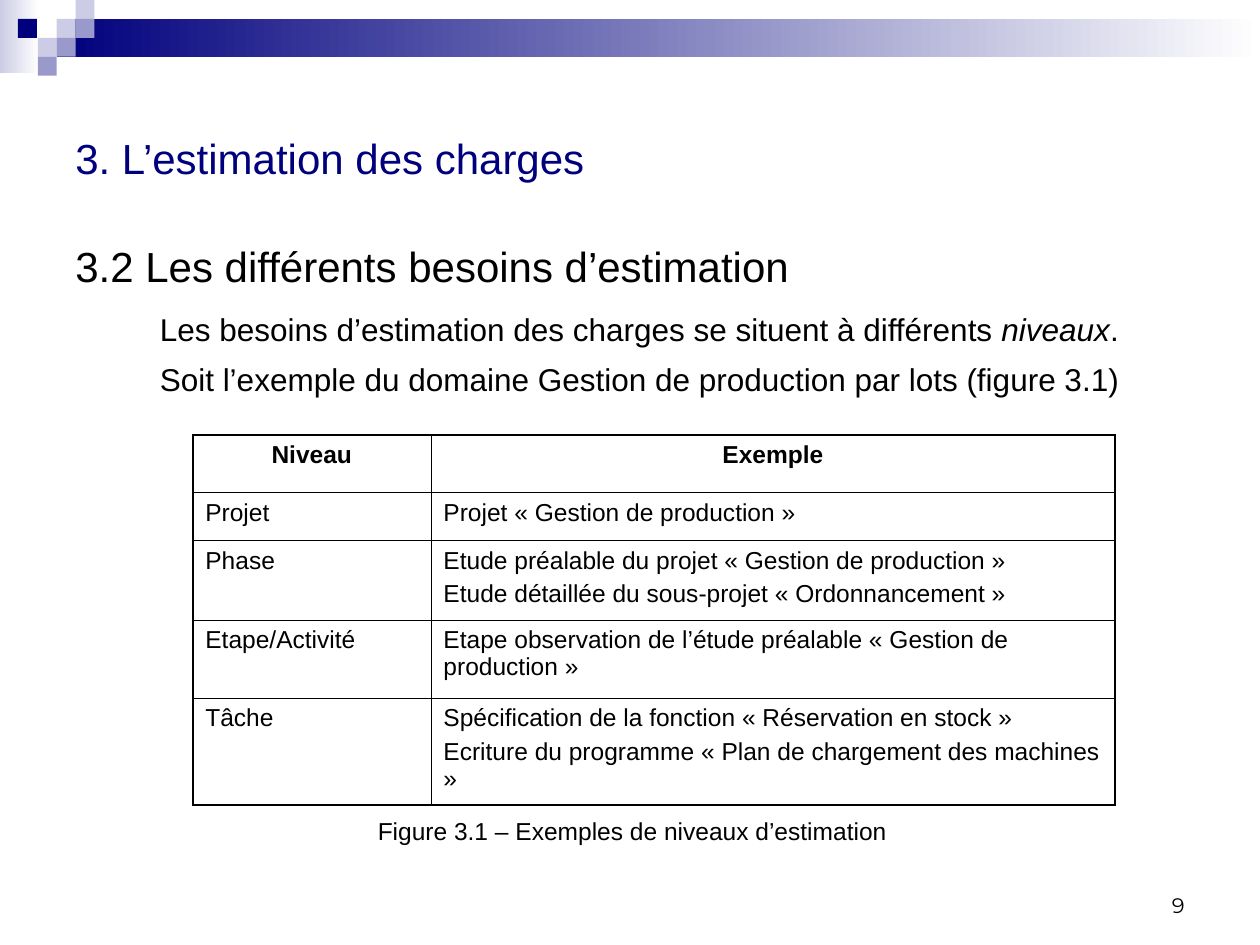
import pptx
import pptx.util
import pptx.dml.color
import pptx.enum.shapes
import pptx.enum.text
import pptx.oxml
import pptx.oxml.ns

COLORS = {"navy": "00007D", "lilac": "CCCCE6", "violet": "9999CC",
          "white": "FFFFFF", "black": "000000"}
# The slide is a grid of 100 columns by 75 rows of square units
COLUMNS, ROWS = 100, 75
UNIT = pptx.util.Inches(10) // COLUMNS
ALIGN = pptx.enum.text.PP_ALIGN
ANCHOR = pptx.enum.text.MSO_ANCHOR

LEVELS = [
    ("Niveau", ["Exemple"]),
    ("Projet", ["Projet «\u00a0Gestion de production\u00a0»".replace("\u00a0", " ")]),
    ("Phase", ["Etude préalable du projet « Gestion de production »",
               "Etude détaillée du sous-projet « Ordonnancement »"]),
    ("Etape/Activité", ["Etape observation de l’étude préalable « Gestion de production »"]),
    ("Tâche", ["Spécification de la fonction « Réservation en stock »",
               "Ecriture du programme « Plan de chargement des machines »"]),
]


def units(*counts):
    return [round(count * UNIT) for count in counts]


def rgb(color):
    return pptx.dml.color.RGBColor.from_string(COLORS[color])


def write(frame, text, size=14, color="black", font="Arial", bold=False,
          align=ALIGN.LEFT, before=0, indent=0):
    """Add one paragraph; words between asterisks are italic."""
    first = frame.paragraphs[0]
    paragraph = frame.add_paragraph() if first.runs else first
    paragraph.alignment = align
    paragraph.space_before = pptx.util.Pt(before)
    if indent:
        paragraph._p.get_or_add_pPr().set("marL", str(units(indent)[0]))
    for number, part in enumerate(text.split("*")):
        run = paragraph.add_run()
        run.text = part
        run.font.name, run.font.size = font, pptx.util.Pt(size)
        run.font.bold, run.font.italic = bold, number % 2 == 1
        run.font.color.rgb = rgb(color)


def text_area(slide, box, anchor=ANCHOR.TOP, wrap=True):
    frame = slide.shapes.add_textbox(*units(*box)).text_frame
    frame.word_wrap, frame.vertical_anchor = wrap, anchor
    return frame


def block(slide, box, start, end=None):
    rectangle = slide.shapes.add_shape(
        pptx.enum.shapes.MSO_SHAPE.RECTANGLE, *units(*box))
    rectangle.shadow.inherit = False
    rectangle.line.fill.background()
    if end is None:
        rectangle.fill.solid()
        rectangle.fill.fore_color.rgb = rgb(start)
        return
    rectangle.fill.gradient()
    rectangle.fill.gradient_angle = 0
    for stop, position, color in zip(rectangle.fill.gradient_stops, (0, 1), (start, end)):
        stop.position = position
        stop.color.rgb = rgb(color)


def banner(slide, box):
    left, top, width, height = box
    side = height / 4
    block(slide, (left, top, 3.1, 5.8), "lilac", "white")
    block(slide, (left + 3 * side, top + side, width - 3 * side, 2 * side), "navy", "white")
    # Mosaic squares by column and row
    for column, row, color in [(3, 1, "lilac"), (4, 0, "lilac"), (4, 1, "violet"),
                               (2, 2, "lilac"), (0.95, 1, "navy"),
                               (3, 2, "violet"), (2, 3, "violet")]:
        block(slide, (left + column * side, top + row * side, side, side), color)


def body(slide, box):
    frame = text_area(slide, box)
    write(frame, "3.2 Les différents besoins d’estimation", size=24)
    write(frame, "Les besoins d’estimation des charges se situent à différents *niveaux*.",
          size=18, before=11, indent=6.7)
    write(frame, "Soit l’exemple du domaine Gestion de production par lots (figure 3.1)",
          size=18, before=7, indent=6.7)


def border(cell, edges):
    properties = cell._tc.get_or_add_tcPr()
    for position, (side, is_outer) in enumerate(edges):
        width = pptx.util.Pt(1.08 if is_outer else 0.45)
        properties.insert(position, pptx.oxml.parse_xml(
            f'<a:ln{side} {pptx.oxml.ns.nsdecls("a")} w="{width}"><a:solidFill>'
            f'<a:srgbClr val="{COLORS["black"]}"/></a:solidFill></a:ln{side}>'))


def level_table(slide, box):
    table = slide.shapes.add_table(len(LEVELS), 2, *units(*box)).table
    table.first_row = table.horz_banding = False
    for column, width in zip(table.columns, units(18.9, 54.3)):
        column.width = width
    for row, height in zip(table.rows, units(4.6, 3.8, 6.3, 6.2, 8.5)):
        row.height = height
    last = len(LEVELS) - 1
    for row, (level, examples) in enumerate(LEVELS):
        for column, lines in enumerate(([level], examples)):
            cell = table.cell(row, column)
            cell.fill.background()
            border(cell, [("L", column == 0), ("R", column == 1),
                          ("T", row == 0), ("B", row == last)])
            for number, line in enumerate(lines):
                write(cell.text_frame, line, bold=row == 0,
                      align=ALIGN.LEFT if row else ALIGN.CENTER,
                      before=3.5 if number else 0)


def main():
    deck = pptx.Presentation()
    deck.slide_width, deck.slide_height = units(COLUMNS, ROWS)
    slide = deck.slides.add_slide(deck.slide_layouts[6])
    # Heading
    banner(slide, (0, 0, COLUMNS, 6))
    write(text_area(slide, (5, 5, 90, 15), ANCHOR.MIDDLE),
          "3. L’estimation des charges", size=24, color="navy")
    # Content
    body(slide, (5, 18.6, 88.3, 45.7))
    level_table(slide, (15.3, 34.5, 73.2, 29.4))
    write(text_area(slide, (29, 64.3, 42.4, 3.4), wrap=False),
          "Figure 3.1 – Exemples de niveaux d’estimation")
    # Page number
    write(text_area(slide, (71.7, 68.3, 23.3, 5), ANCHOR.BOTTOM),
          "9", size=12, font="Montserrat", align=ALIGN.RIGHT)
    deck.save("out.pptx")


if __name__ == "__main__":
    main()
